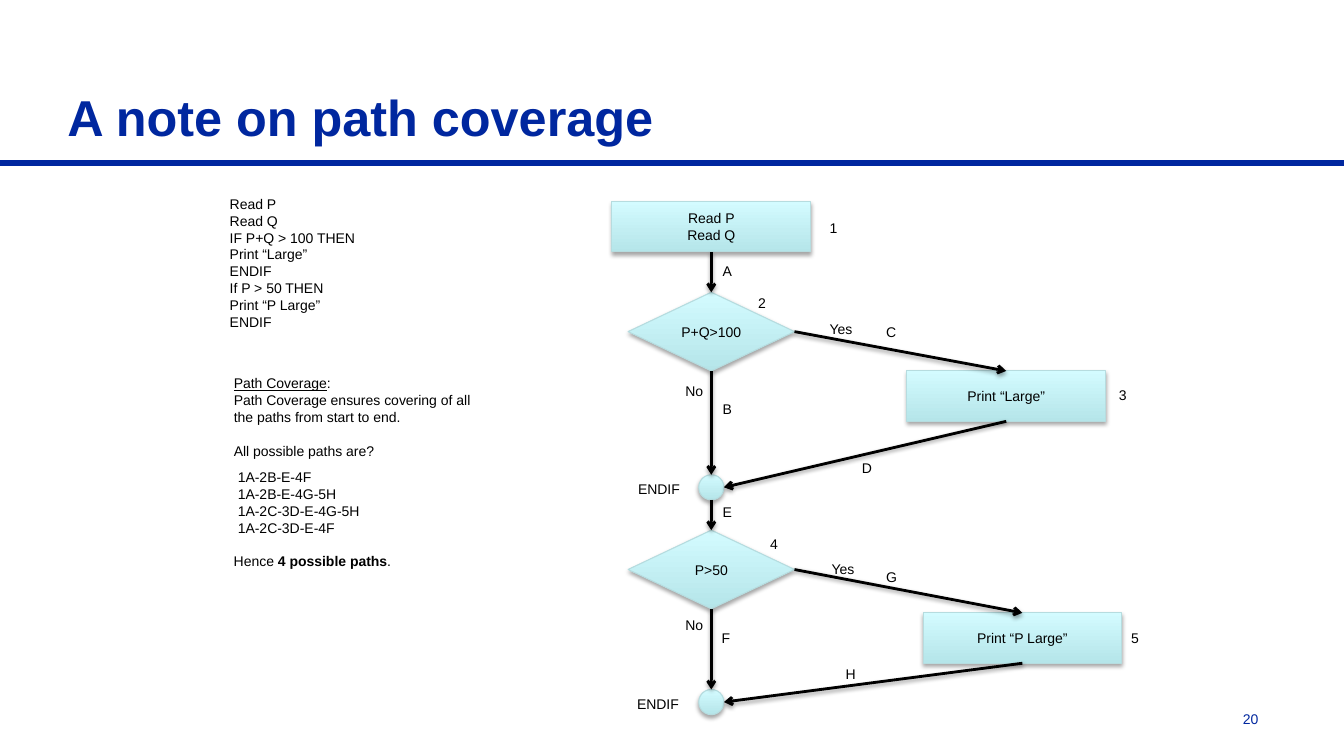
"""Build a slide on path coverage with pseudocode, paths and a flowchart."""
from lxml import etree
from pptx import Presentation, util as u
from pptx.dml.color import RGBColor
from pptx.enum import shapes, text
from pptx.oxml import ns

NAVY, BLACK = "00279F", "000000"
LOW, HIGH, EDGE = "B5E5E9", "D3FBFF", "B6DCDF"
TOP, LEFT, BOTTOM, RIGHT = range(4)
BOX = shapes.MSO_SHAPE.RECTANGLE
TEST = shapes.MSO_SHAPE.FLOWCHART_DECISION
DOT = shapes.MSO_SHAPE.FLOWCHART_CONNECTOR
SIZE = {BOX: (1.97, 0.5), TEST: (1.65, 0.78), DOT: (0.25, 0.25)}
AXIS = 7.055

NODES = {
    "read": (BOX, AXIS, 2, ["Read P", "Read Q"]),
    "end": (DOT, AXIS, 6.84, []),
    "join": (DOT, AXIS, 4.71, []),
    "sum": (TEST, AXIS, 2.9, ["P+Q>100"]),
    "large": (BOX, 9.98, 3.68, ["Print “Large”"]),
    "plarge": (BOX, 10.14, 6.08, ["Print “P Large”"]),
    "half": (TEST, AXIS, 5.26, ["P>50"]),
}
LINKS = [
    ("large", BOTTOM, "join", RIGHT),
    ("read", BOTTOM, "sum", TOP),
    ("sum", RIGHT, "large", TOP),
    ("sum", BOTTOM, "join", TOP),
    ("join", BOTTOM, "half", TOP),
    ("half", RIGHT, "plarge", TOP),
    ("half", BOTTOM, "end", TOP),
    ("plarge", BOTTOM, "end", RIGHT),
]
LABELS = [
    ("1", 8.13, 2.13), ("2", 7.42, 2.87), ("3", 11, 3.79),
    ("4", 7.54, 5.26), ("5", 11.12, 6.2),
    ("A", 7.07, 2.56), ("B", 7.07, 3.92), ("C", 8.69, 3.16),
    ("D", 8.45, 4.51), ("E", 7.07, 4.95), ("F", 7.06, 6.2),
    ("G", 8.69, 5.59), ("H", 8.29, 6.55),
    ("ENDIF", 6.23, 4.72), ("ENDIF", 6.22, 6.85),
    ("No", 6.7, 3.75), ("No", 6.7, 6.07),
    ("Yes", 8.13, 3.13), ("Yes", 8.15, 5.51),
]
WIDTHS = {1: 0.24, 2: 0.46, 3: 0.46, 5: 0.71}
CODE = ["Read P", "Read Q", "IF P+Q > 100 THEN", "Print “Large”", "ENDIF",
        "If P > 50 THEN", "Print “P Large”", "ENDIF"]
ABOUT = [[("Path Coverage", "u"), (":", "")],
         "Path Coverage ensures covering of all the paths from start to end.",
         "All possible paths are?"]
PATHS = ["1A-2B-E-4F", "1A-2B-E-4G-5H", "1A-2C-3D-E-4G-5H", "1A-2C-3D-E-4F",
         [("Hence ", ""), ("4 possible paths", "b"), (".", "")]]


def tint(value):
    return RGBColor.from_string(value)


def write(frame, lines, size=10, hue=BLACK, bold=False, align=None):
    frame.word_wrap = True
    for i, line in enumerate(lines):
        para = frame.paragraphs[0] if i == 0 else frame.add_paragraph()
        para.alignment = align
        font = para.font
        font.name, font.size, font.bold = "Arial", u.Pt(size), bold
        font.color.rgb = tint(hue)
        for words, style in [(line, "")] if isinstance(line, str) else line:
            run = para.add_run()
            run.text = words
            if style == "u":
                run.font.underline = True
            if style == "b":
                run.font.bold = True


def note(lines, left, top, wide, high, **style):
    box = slide.shapes.add_textbox(*map(u.Inches, (left, top, wide, high)))
    write(box.text_frame, lines, **style)
    return box.text_frame


def shade(shape, alpha, dist):
    props = shape._element.spPr
    list_ = etree.SubElement(props, ns.qn("a:effectLst"))
    cast = etree.SubElement(
        list_, ns.qn("a:outerShdw"), blurRad=str(u.Pt(3.1)),
        dist=str(u.Pt(dist)), dir="5400000", rotWithShape="0")
    hue = etree.SubElement(cast, ns.qn("a:srgbClr"), val=BLACK)
    etree.SubElement(hue, ns.qn("a:alpha"), val=str(alpha * 1000))


def draw(kind, mid, top, lines):
    wide, high = SIZE[kind]
    node = slide.shapes.add_shape(
        kind, *map(u.Inches, (mid - wide / 2, top, wide, high)))
    node.fill.gradient()
    node.fill.gradient_angle = 90
    for stop, place, hue in zip(node.fill.gradient_stops, (0, 1), (LOW, HIGH)):
        stop.position, stop.color.rgb = place, tint(hue)
    node.line.color.rgb, node.line.width = tint(EDGE), u.Pt(0.75)
    shade(node, 35, 1.8)
    node.text_frame.vertical_anchor = text.MSO_ANCHOR.MIDDLE
    write(node.text_frame, lines, align=text.PP_ALIGN.CENTER)
    return node


def port(node, side):
    x, y = node.left + node.width // 2, node.top + node.height // 2
    return {TOP: (x, node.top), LEFT: (node.left, y),
            BOTTOM: (x, node.top + node.height),
            RIGHT: (node.left + node.width, y)}[side]


def rule(start, stop, hue, wide):
    line = slide.shapes.add_connector(
        shapes.MSO_CONNECTOR.STRAIGHT, *start, *stop)
    line.line.color.rgb, line.line.width = tint(hue), u.Pt(wide)
    return line


def link(first, out, last, into):
    line = rule(port(nodes[first], out), port(nodes[last], into), BLACK, 2)
    if NODES[first][0] != DOT:
        line.begin_connect(nodes[first], out)
    if NODES[last][0] != DOT:
        line.end_connect(nodes[last], into)
    etree.SubElement(line.line._get_or_add_ln(), ns.qn("a:tailEnd"),
                     type="arrow")
    shade(line, 38, 1.6)


deck = Presentation()
deck.slide_width, deck.slide_height = u.Inches(13.33), u.Inches(7.5)
slide = deck.slides.add_slide(deck.slide_layouts[6])

bar = rule((0, u.Inches(1.62)), (u.Inches(13.33), u.Inches(1.62)), NAVY, 4)
etree.SubElement(bar._element.spPr, ns.qn("a:effectLst"))
note(["20"], 11.92, 7, 0.66, 0.27, hue=NAVY, align=text.PP_ALIGN.RIGHT)
title = note(["A note on path coverage"], 0.57, 0.29, 11.88, 1.21,
             size=36, hue=NAVY, bold=True)
title.vertical_anchor = text.MSO_ANCHOR.BOTTOM

nodes = {name: draw(*data) for name, data in NODES.items()}
note(CODE, 2.18, 1.89, 2.68, 1.62)
for ends in LINKS:
    link(*ends)
for word, left, top in LABELS:
    note([word], left, top, WIDTHS[len(word)], 0.27)

about = note(ABOUT, 2.22, 3.67, 2.68, 1.28)
paths = note(PATHS, 2.22, 4.6, 3.06, 1.11)
for frame in (about, paths):
    frame.paragraphs[-1].space_before = u.Pt(12)
for para in paths.paragraphs[:-1]:
    para._p.get_or_add_pPr().set("marL", str(u.Inches(0.04)))

deck.save("out.pptx")
